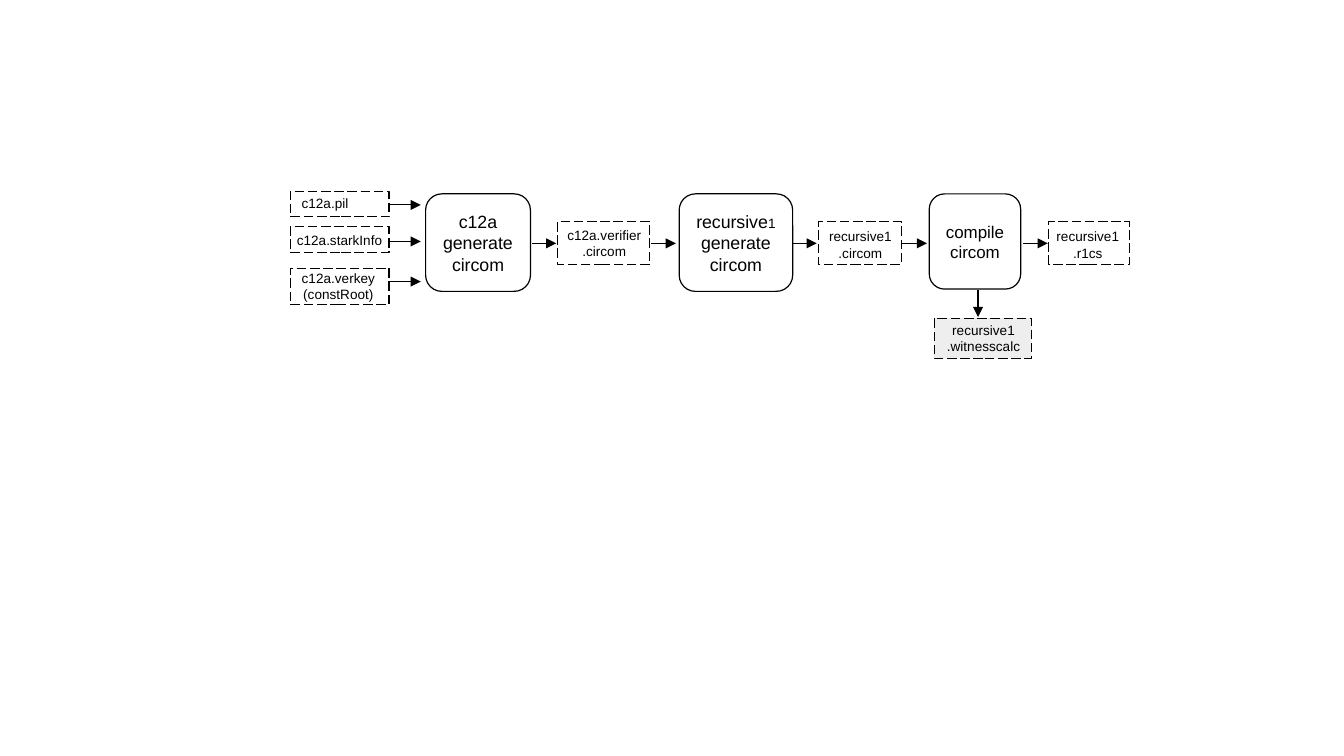
from collections import namedtuple

from lxml.etree import SubElement
from pptx import Presentation
from pptx.dml.color import RGBColor
from pptx.enum.dml import MSO_LINE
from pptx.enum.shapes import MSO_CONNECTOR, MSO_SHAPE
from pptx.enum.text import MSO_ANCHOR, PP_ALIGN
from pptx.oxml.ns import qn
from pptx.util import Pt

COLORS = {"ink": "000000", "step": "FFFFFF", "witness": "EEEEEE"}
FONT = "Arial"
LINE_WIDTH = 0.71
SMALL = 8

Box = namedtuple("Box", "left top width height")


def color(name):
    return RGBColor.from_string(COLORS[name])


def inside(box, left, top, width, height):
    return Box(box.left + left, box.top + top, width, height)


def write(shape, lines):
    """Each line is a list of (text, size) runs."""
    frame = shape.text_frame
    frame.word_wrap = True
    frame.vertical_anchor = MSO_ANCHOR.MIDDLE
    for index, line in enumerate(lines):
        para = frame.add_paragraph() if index else frame.paragraphs[0]
        para.alignment = PP_ALIGN.CENTER
        for text, size in line:
            span = para.add_run()
            span.text = text
            span.font.name = FONT
            span.font.size = Pt(size)
            span.font.color.rgb = color("ink")


def add_outline(page, kind, box, fill=None):
    shape = page.shapes.add_shape(kind, *map(Pt, box))
    shape.shadow.inherit = False
    if fill:
        shape.fill.solid()
        shape.fill.fore_color.rgb = color(fill)
    else:
        shape.fill.background()
    shape.line.color.rgb = color("ink")
    shape.line.width = Pt(LINE_WIDTH)
    return shape


def add_step(page, box, lines):
    shape = add_outline(page, MSO_SHAPE.ROUNDED_RECTANGLE, box, "step")
    shape.adjustments[0] = 0.167
    write(shape, lines)


def add_file(page, box, label, lines, fill=None):
    """Dashed frame with its label, placed relative to the frame."""
    frame = add_outline(page, MSO_SHAPE.RECTANGLE, box, fill)
    frame.line.dash_style = MSO_LINE.LONG_DASH
    text_box = page.shapes.add_textbox(*map(Pt, inside(box, *label)))
    write(text_box, [[(line, SMALL)] for line in lines])


def add_arrow(page, left, top, right, bottom):
    arrow = page.shapes.add_connector(
        MSO_CONNECTOR.STRAIGHT, Pt(left), Pt(top), Pt(right), Pt(bottom))
    arrow.line.color.rgb = color("ink")
    arrow.line.width = Pt(LINE_WIDTH)
    SubElement(arrow.line._get_or_add_ln(), qn("a:tailEnd"), type="triangle")
    SubElement(arrow._element.spPr, qn("a:effectLst"))


def add_inputs(page, box):
    # Top, height, arrow height, label place, label lines
    files = [
        (0, 15.1, 8, (-12.3, -5.7, 65.5, 25.2), ["c12a.pil"]),
        (20.9, 15.1, 29.6, (-11.6, 0, 81.4, 15.8), ["c12a.starkInfo"]),
        (45.4, 21.6, 53.3, (-1.5, -6.5, 59.8, 33.8),
         ["c12a.verkey", "(constRoot)"]),
    ]
    for top, height, middle, label, lines in files:
        add_file(page, inside(box, 0, top, 58.3, height), label, lines)
        add_arrow(page, box.left + 57.6, box.top + middle,
                  box.left + box.width, box.top + middle)


def add_pipeline(page, box):
    # Processing steps
    steps = [
        (0, 61.9, 57.6, 10.5, [["c12a"], ["generate"], ["circom"]]),
        (149.7, 67, 57.6, 10.5,
         [["recursive", "1"], ["generate"], ["circom"]]),
        (297.3, 54, 56.2, 10, [["compile"], ["circom"]]),
    ]
    for left, width, height, size, words in steps:
        lines = [[(word, SMALL if word == "1" else size) for word in line]
                 for line in words]
        add_step(page, inside(box, left, 0, width, height), lines)

    # Files passed between steps
    files = [
        (77.7, 54.7, (-5.7, 0, 67, 25.2), ["c12a.verifier", ".circom"]),
        (231.8, 49, (-8.6, 0.8, 67, 25.2), ["recursive1", ".circom"]),
        (367.9, 47.5, (-6.5, 0.8, 59, 25.2), ["recursive1", ".r1cs"]),
    ]
    for left, width, label, lines in files:
        add_file(page, inside(box, left, 16.5, width, 25.2), label, lines)

    # Flow from left to right
    for left in (62.6, 133.2, 216.4, 281.5, 352.8):
        add_arrow(page, box.left + left, box.top + 29.2,
                  box.left + left + 14.5, box.top + 29.2)

    # Witness calculator below the last step
    add_file(page, inside(box, 300.2, 73.4, 57.6, 23.8), (-4.3, -0.7, 67, 25.2),
             ["recursive1", ".witnesscalc"], "witness")
    add_arrow(page, box.left + 326.1, box.top + 56.9,
              box.left + 326.1, box.top + 72.7)


def main():
    deck = Presentation()
    deck.slide_width, deck.slide_height = Pt(793.44), Pt(446.4)
    page = deck.slides.add_slide(deck.slide_layouts[6])
    add_inputs(page, Box(171.4, 113, 77, 67))
    add_pipeline(page, Box(251.3, 114.5, 415.4, 97.2))
    deck.save("out.pptx")


if __name__ == "__main__":
    main()
